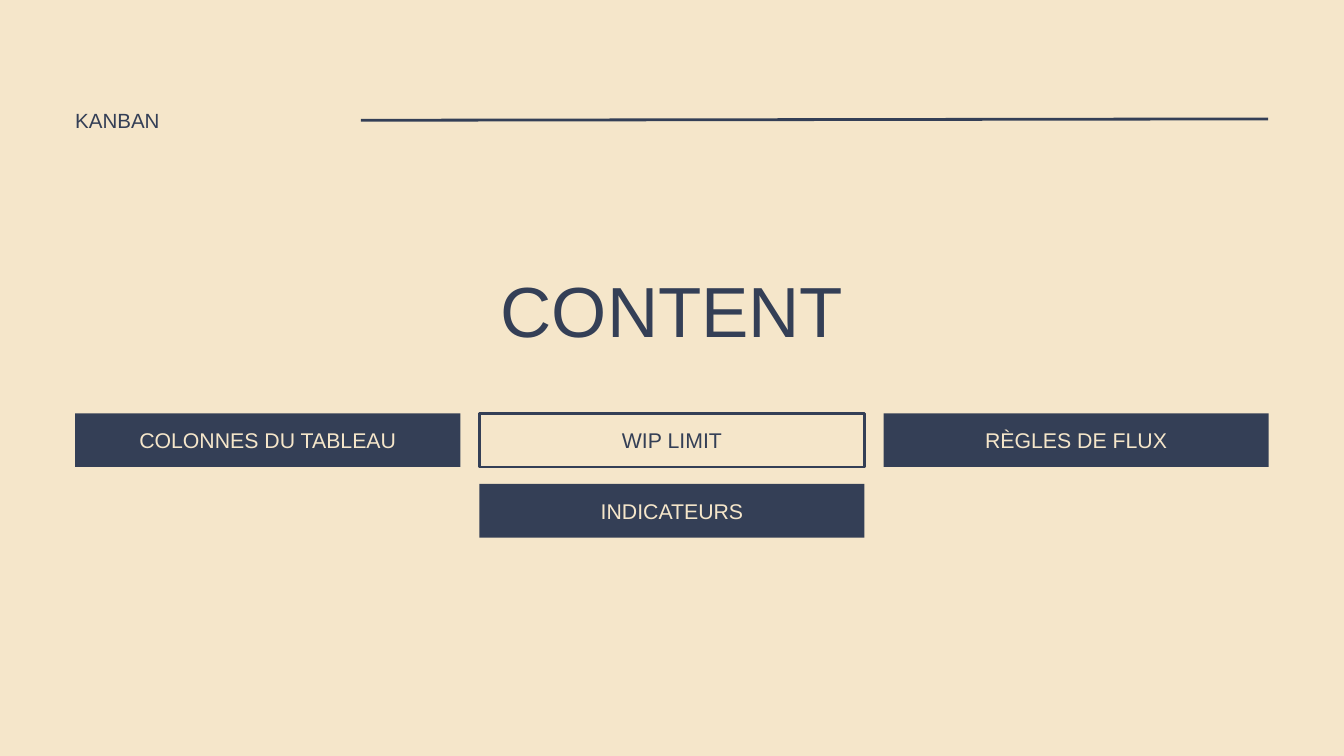
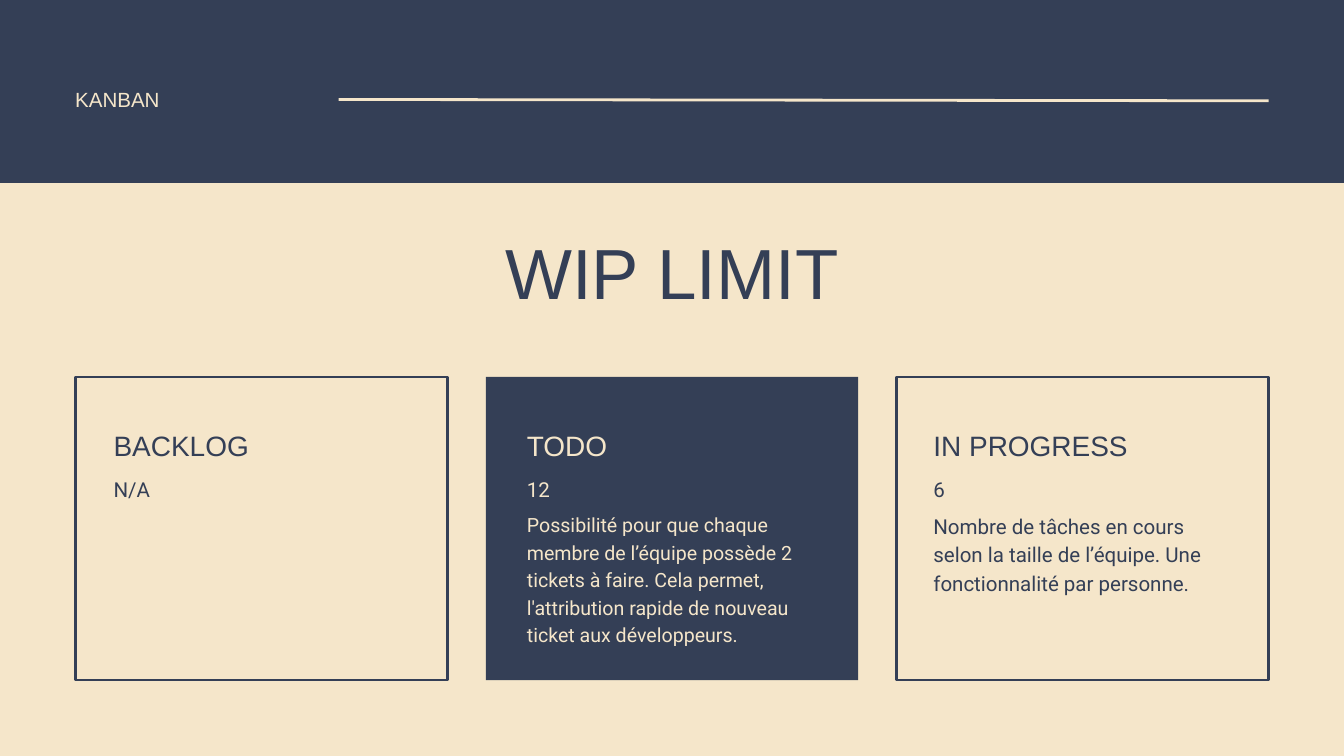
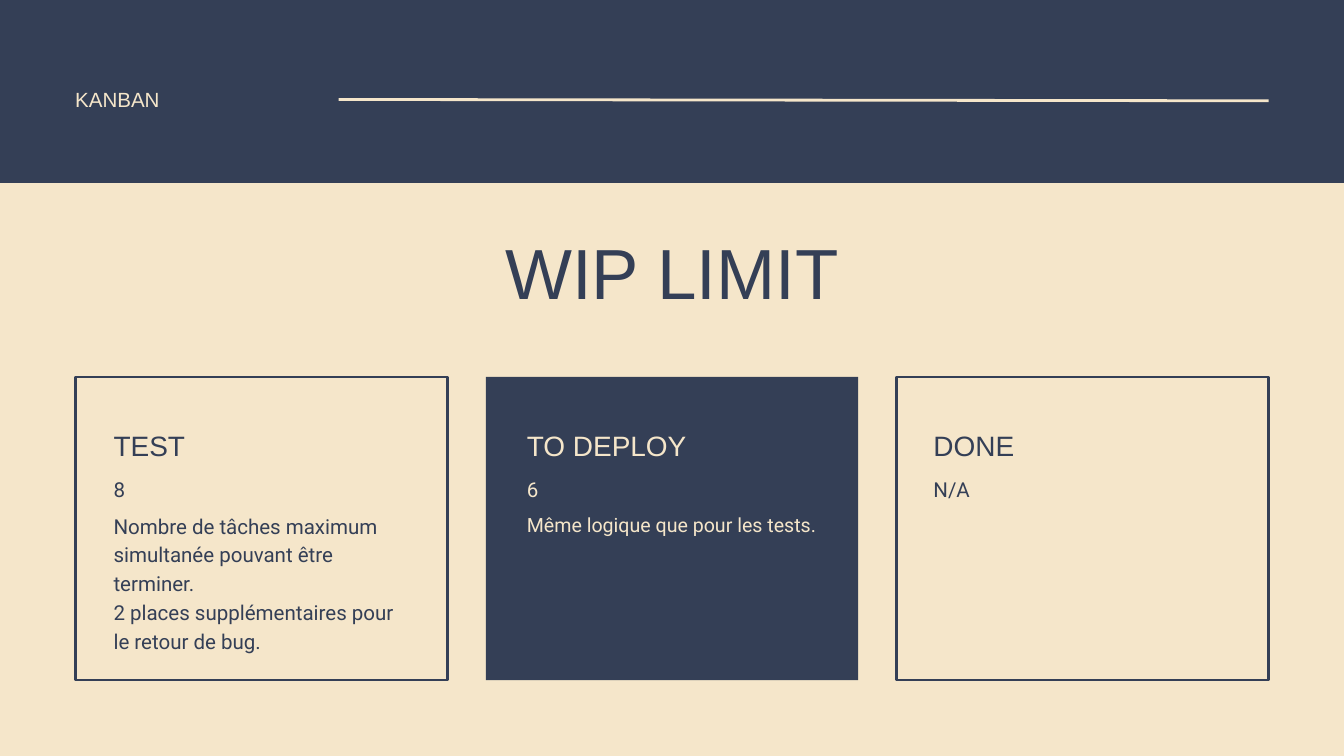
from pptx import Presentation
from pptx.dml.color import RGBColor
from pptx.enum.shapes import MSO_CONNECTOR as CONN, MSO_SHAPE as SHAPE
from pptx.enum.text import MSO_AUTO_SIZE as AUTO, PP_ALIGN as ALIGN
from pptx.oxml.ns import qn
from pptx.util import Inches, Pt
from lxml.etree import SubElement

COLORS = {"navy": "343F56", "sand": "F5E6CA"}
HEAD, BODY = "Arial", "Roboto"
COLS, ROWS = 20, 11.25
LEFT, RIGHT = 1.12, 18.88
LEADING = 1.4
CARD_INSETS = (0.57, 0.61, 0.55)


def rgb(name):
    """Return a palette colour by name."""
    return RGBColor.from_string(COLORS[name])


def write(tf, text, size=22, font=HEAD, color="navy", align=ALIGN.LEFT):
    """Fill a text frame with one paragraph per line of text."""
    tf.margin_left = tf.margin_right = tf.margin_top = tf.margin_bottom = 0
    tf.word_wrap = True
    tf.auto_size = AUTO.SHAPE_TO_FIT_TEXT
    for i, line in enumerate(text.split("\n")):
        p = tf.add_paragraph() if i else tf.paragraphs[0]
        p.alignment = align
        p.line_spacing = Pt(round(size * LEADING, 1))
        r = p.add_run()
        r.text = line
        r.font.size = Pt(size)
        r.font.name = font
        r.font.color.rgb = rgb(color)


def spread(count, width):
    """Return the left edges of equal boxes spread between the margins."""
    step = (RIGHT - LEFT - width) / (count - 1)
    return [LEFT + i * step for i in range(count)]


class Deck:
    """Holds the presentation, its grid and the current slide."""

    def __init__(self):
        """Set up a wide presentation divided into grid cells."""
        self.prs = Presentation()
        self.prs.slide_width = Inches(20)
        self.prs.slide_height = Inches(11.25)
        self.s = None

    def place(self, x, y):
        """Turn a column and a row into slide lengths."""
        return (round(self.prs.slide_width * x / COLS),
                round(self.prs.slide_height * y / ROWS))

    def slide(self):
        """Start a blank slide on the sand background."""
        self.s = self.prs.slides.add_slide(self.prs.slide_layouts[6])
        fill = self.s.background.fill
        fill.solid()
        fill.fore_color.rgb = rgb("sand")

    def text(self, text, x, y, w, h, **style):
        """Add a text box."""
        sp = self.s.shapes.add_textbox(*self.place(x, y), *self.place(w, h))
        write(sp.text_frame, text, **style)

    def box(self, x, y, w, h, filled=True):
        """Add a solid or outlined navy box and return its text colour."""
        sp = self.s.shapes.add_shape(SHAPE.RECTANGLE, *self.place(x, y), *self.place(w, h))
        sp.shadow.inherit = False
        if filled:
            sp.fill.solid()
            sp.fill.fore_color.rgb = rgb("navy")
            sp.line.fill.background()
        else:
            sp.fill.background()
            sp.line.color.rgb = rgb("navy")
            sp.line.width = Pt(3)
        return "sand" if filled else "navy"

    def rule(self, start, end, color):
        """Add a straight line between two grid points."""
        line = self.s.shapes.add_connector(CONN.STRAIGHT, *self.place(*start), *self.place(*end))
        line.line.color.rgb = rgb(color)
        line.line.width = Pt(3)
        SubElement(line._element.spPr, qn("a:effectLst"))

    def header(self, y, start, end, color):
        """Add the running head and its rule."""
        self.text("KANBAN", LEFT, y, 3.6, 0.43, color=color)
        self.rule(start, end, color)

    def title(self, text, y):
        """Add the large centred title."""
        self.text(text, 1.89, y, 16.22, 1.5, size=76, align=ALIGN.CENTER)

    def button(self, label, x, y, w, filled=True):
        """Add a menu box with a centred label."""
        color = self.box(x, y, w, 0.8, filled)
        self.text(label, x, y + 0.15, w, 0.45, size=22.8, color=color, align=ALIGN.CENTER)

    def card(self, x, y, w, inset, filled, name, limit, note):
        """Add a column card with its name, limit and note."""
        color = self.box(x, y, w, 4.51, filled)
        x += inset
        self.text(name, x, y + 0.68, 4.17, 0.61, size=30, color=color)
        self.text(limit, x, y + 1.42, 4.48, 0.42, font=BODY, color=color)
        if note:
            size, width = (21, 4.68) if filled else (22, 4.44)
            self.text(note, x, y + 1.97, width, 1.27, size=size, font=BODY, color=color)


def content_slide(deck):
    """Build the menu of topics."""
    deck.slide()
    width = 5.73
    lefts = spread(3, width)
    deck.button("COLONNES DU TABLEAU", lefts[0], 6.15, width)
    deck.button("WIP LIMIT", lefts[1], 6.15, width, filled=False)
    deck.button("RÈGLES DE FLUX", lefts[2], 6.15, width)
    deck.button("INDICATEURS", lefts[1], 7.2, width)
    deck.title("CONTENT", 3.75)
    deck.header(1.55, (5.37, 1.79), (18.87, 1.77), "navy")


def limit_slide(deck, cards):
    """Build a slide of three cards, the middle one solid."""
    deck.slide()
    deck.box(0, 0, COLS, 2.72)
    deck.title("WIP LIMIT", 3.19)
    deck.header(1.23, (5.04, 1.48), (RIGHT, 1.5), "sand")
    width = 5.54
    for i, (x, inset, card) in enumerate(zip(spread(3, width), CARD_INSETS, cards)):
        deck.card(x, 5.61, width, inset, i == 1, *card)


def main():
    """Build and save the deck."""
    deck = Deck()
    content_slide(deck)
    limit_slide(deck, [
        ("BACKLOG", "N/A", ""),
        ("TODO", "12", "Possibilité pour que chaque membre de l’équipe possède 2 tickets à faire. "
                       "Cela permet, l'attribution rapide de nouveau ticket aux développeurs."),
        ("IN PROGRESS", "6", "Nombre de tâches en cours selon la taille de l’équipe. "
                             "Une fonctionnalité par personne."),
    ])
    limit_slide(deck, [
        ("TEST", "8", "Nombre de tâches maximum simultanée pouvant être terminer.\n"
                      "2 places supplémentaires pour le retour de bug."),
        ("TO DEPLOY", "6", "Même logique que pour les tests."),
        ("DONE", "N/A", ""),
    ])
    deck.prs.save("out.pptx")


if __name__ == "__main__":
    main()
